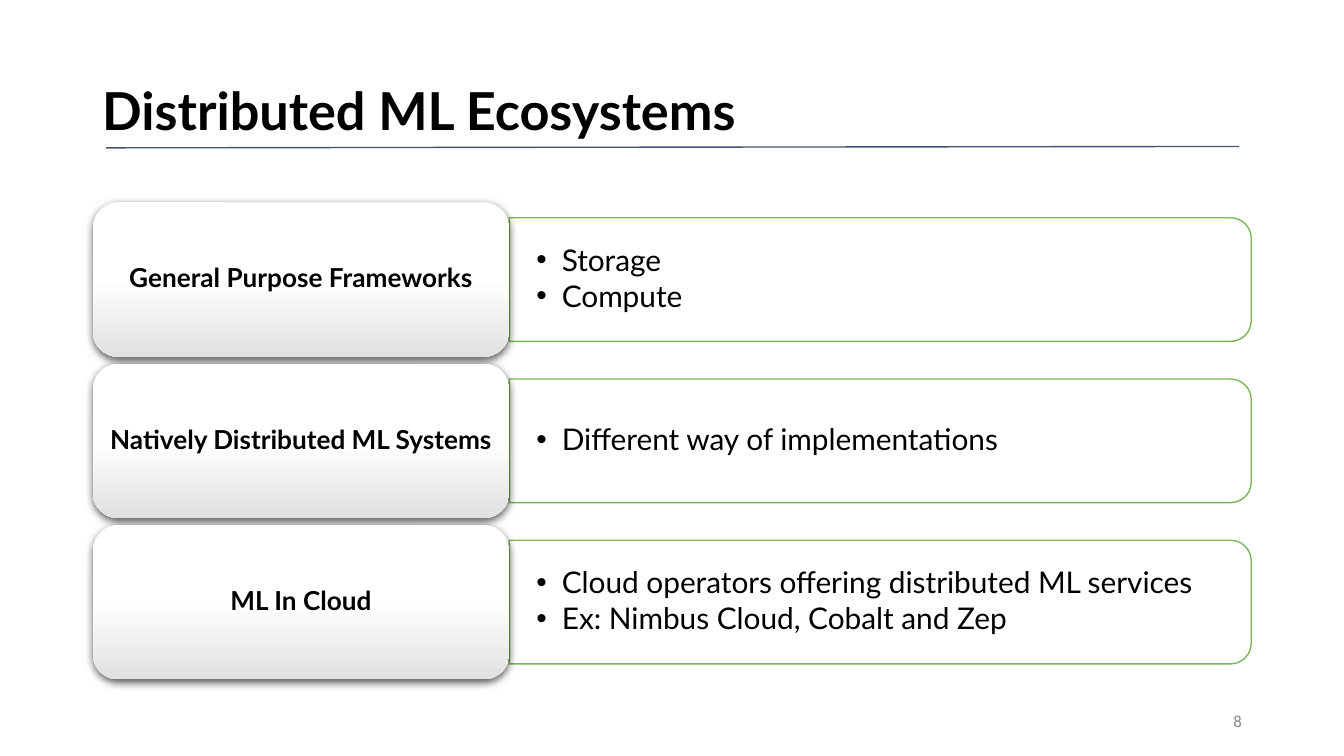
from dataclasses import dataclass

from lxml.etree import SubElement
from pptx import Presentation
from pptx.dml.color import RGBColor
from pptx.enum.shapes import MSO_CONNECTOR, MSO_SHAPE
from pptx.enum.text import MSO_ANCHOR, MSO_AUTO_SIZE, PP_ALIGN
from pptx.oxml.ns import qn
from pptx.util import Inches, Pt

COLOURS = {
    "white": "FFFFFF",
    "black": "000000",
    "shade": "E1E1E1",
    "green": "70AD47",
    "rule": "44546A",
    "number": "888888",
}
PAGE_WIDTH = 10
PAGE_HEIGHT = PAGE_WIDTH * 9 / 16
LEFT = 0.69
CARD_WIDTH, CARD_HEIGHT = 3.1, 1.15
PANEL_LEFT, PANEL_WIDTH, PANEL_HEIGHT = 3.79, 5.52, 0.92
LIST_WIDTH, LIST_HEIGHT = 5.48, 0.83
FIRST_CENTRE, ROW_STEP = 2.08, 1.2


@dataclass
class Category:
    name: str
    points: tuple[str, ...]


CATEGORIES = (
    Category("General Purpose Frameworks", ("Storage", "Compute")),
    Category("Natively Distributed ML Systems", ("Different way of implementations",)),
    Category(
        "ML In Cloud",
        (
            "Cloud operators offering distributed ML services",
            "Ex: Nimbus Cloud, Cobalt and Zep",
        ),
    ),
)


def colour(name: str) -> RGBColor:
    return RGBColor.from_string(COLOURS[name])


def place(box, left: float, top: float, width: float, height: float) -> None:
    box.left, box.top = Inches(left), Inches(top)
    box.width, box.height = Inches(width), Inches(height)


def set_frame(frame, horizontal: float, vertical: float) -> None:
    frame.word_wrap = True
    frame.auto_size = MSO_AUTO_SIZE.NONE
    frame.vertical_anchor = MSO_ANCHOR.MIDDLE
    frame.margin_left = frame.margin_right = Inches(horizontal)
    frame.margin_top = frame.margin_bottom = Inches(vertical)


def style(paragraph, size: float, bold: bool = False, align=PP_ALIGN.LEFT,
          tint: str = "black", face: str = "Lato", spacing: float = 0.9) -> None:
    paragraph.alignment = align
    paragraph.line_spacing = spacing
    paragraph.space_before = Pt(0)
    for span in paragraph.runs:
        span.font.name = face
        span.font.size = Pt(size)
        span.font.bold = bold
        span.font.color.rgb = colour(tint)


def add_colour(parent, name: str, alpha: int = 100) -> None:
    element = SubElement(parent, qn("a:srgbClr"), val=COLOURS[name])
    if alpha < 100:
        SubElement(element, qn("a:alpha"), val=str(alpha * 1000))


def add_bullet(paragraph) -> None:
    properties = paragraph._p.get_or_add_pPr()
    properties.set("marL", str(Inches(0.19)))
    properties.set("indent", str(-Inches(0.19)))
    add_colour(SubElement(properties, qn("a:buClr")), "black")
    SubElement(properties, qn("a:buFont"), typeface="Arial")
    SubElement(properties, qn("a:buChar"), char="•")


def add_panel(page, centre: float) -> None:
    panel = page.shapes.add_shape(
        MSO_SHAPE.ROUND_2_SAME_RECTANGLE,
        Inches(PANEL_LEFT + (PANEL_WIDTH - PANEL_HEIGHT) / 2),
        Inches(centre - PANEL_WIDTH / 2),
        Inches(PANEL_HEIGHT), Inches(PANEL_WIDTH),
    )
    panel.rotation = 90
    panel.shadow.inherit = False
    panel.fill.solid()
    panel.fill.fore_color.rgb = colour("white")
    panel.line.color.rgb = colour("green")
    panel.line.width = Pt(0.75)
    for element in panel._element.spPr.iter(qn("a:srgbClr")):
        SubElement(element, qn("a:alpha"), val="90000")


def fill_list(page, box, points: tuple[str, ...], centre: float) -> None:
    place(box, PANEL_LEFT, centre - LIST_HEIGHT / 2, LIST_WIDTH, LIST_HEIGHT)
    set_frame(box.text_frame, 0.2, 0.1)
    box.text_frame.text = "\n".join(points)
    for index, paragraph in enumerate(box.text_frame.paragraphs):
        paragraph.level = 1
        add_bullet(paragraph)
        style(paragraph, 16)
        if index:
            paragraph.space_before = Pt(2)
    page.shapes._spTree.append(box._element)


def add_card(page, name: str, centre: float) -> None:
    card = page.shapes.add_shape(
        MSO_SHAPE.ROUNDED_RECTANGLE, Inches(LEFT), Inches(centre - CARD_HEIGHT / 2),
        Inches(CARD_WIDTH), Inches(CARD_HEIGHT),
    )
    card.line.fill.background()
    card.fill.gradient()
    card.fill.gradient_angle = 270
    stops = card._element.spPr.find(".//" + qn("a:gsLst"))
    for stop in list(stops):
        stops.remove(stop)
    for position, tint in ((0, "white"), (50, "white"), (100, "shade")):
        add_colour(SubElement(stops, qn("a:gs"), pos=str(position * 1000)), tint)
    card.shadow.inherit = False
    effects = card._element.spPr.find(qn("a:effectLst"))
    shadow = SubElement(effects, qn("a:outerShdw"), blurRad=str(Pt(4.5)),
                        dist=str(Pt(1.5)), dir="5400000", rotWithShape="0")
    add_colour(shadow, "black", 63)
    set_frame(card.text_frame, 0.06, 0.03)
    card.text_frame.text = name
    style(card.text_frame.paragraphs[0], 14, True, PP_ALIGN.CENTER)


def add_rule(page) -> None:
    rule = page.shapes.add_connector(
        MSO_CONNECTOR.STRAIGHT, Inches(0.79), Inches(1.1), Inches(9.22), Inches(1.09)
    )
    rule.line.color.rgb = colour("rule")
    rule.line.width = Pt(0.75)
    SubElement(rule._element.spPr, qn("a:effectLst"))


def add_page_number(page, number: str) -> None:
    box = page.shapes.add_textbox(Inches(7.06), Inches(5.21), Inches(2.25), Inches(0.3))
    set_frame(box.text_frame, 0.07, 0.04)
    box.text_frame.text = number
    style(box.text_frame.paragraphs[0], 9, align=PP_ALIGN.RIGHT, tint="number",
          face="Calibri", spacing=1.0)


def main() -> None:
    deck = Presentation()
    deck.slide_width, deck.slide_height = Inches(PAGE_WIDTH), Inches(PAGE_HEIGHT)
    page = deck.slides.add_slide(deck.slide_layouts.get_by_name("Comparison"))

    title = page.shapes.title
    place(title, LEFT, 0.3, 8.62, 1.09)
    set_frame(title.text_frame, 0.07, 0.04)
    title.text_frame.text = "Distributed ML Ecosystems"
    style(title.text_frame.paragraphs[0], 28, True)

    bodies = list(page.placeholders)[1:]
    for row, (category, body) in enumerate(zip(CATEGORIES, bodies)):
        centre = FIRST_CENTRE + row * ROW_STEP
        add_panel(page, centre)
        fill_list(page, body, category.points, centre)
        add_card(page, category.name, centre)
    for unused in bodies[len(CATEGORIES):]:
        page.shapes._spTree.remove(unused._element)

    add_rule(page)
    add_page_number(page, "8")
    deck.save("out.pptx")


if __name__ == "__main__":
    main()
